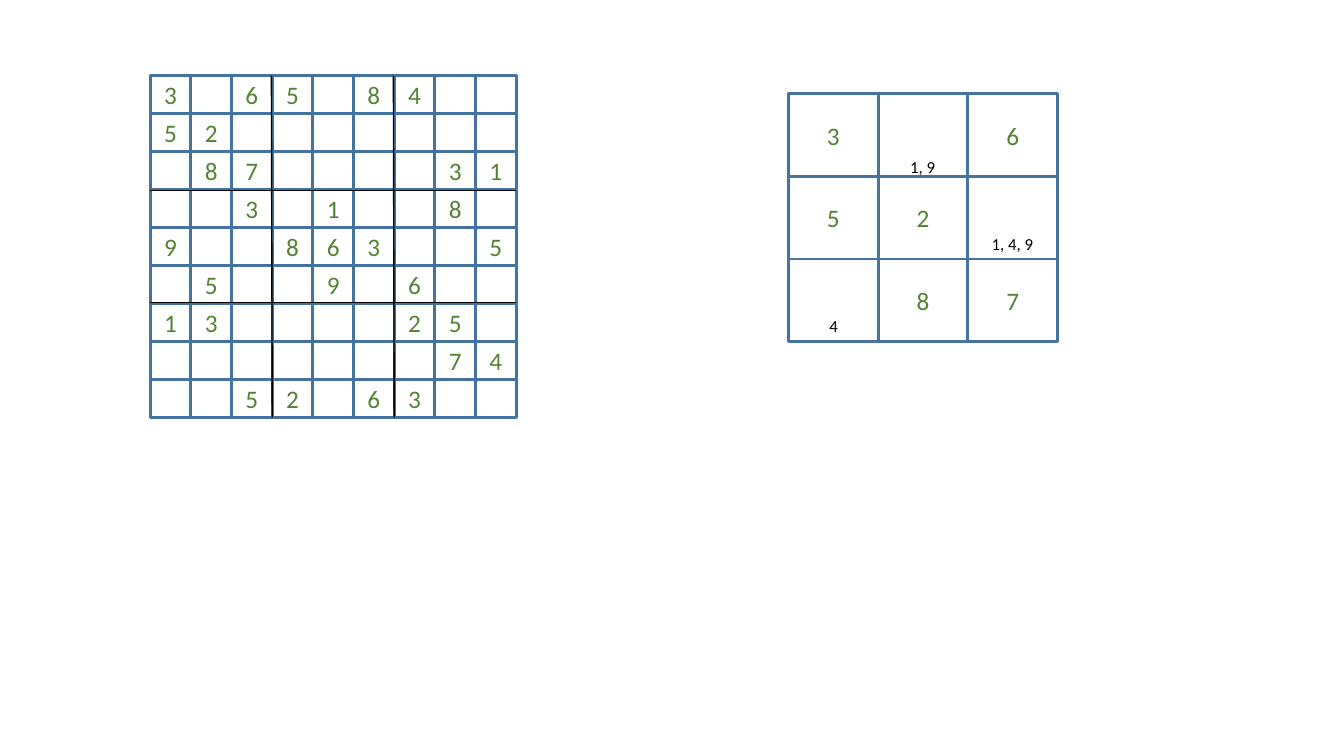
from lxml import etree
from pptx import Presentation
from pptx.dml.color import RGBColor
from pptx.enum.shapes import MSO_CONNECTOR, MSO_SHAPE
from pptx.enum.text import MSO_ANCHOR, MSO_AUTO_SIZE, PP_ALIGN
from pptx.oxml.ns import qn
from pptx.util import Inches, Pt

RECT = MSO_SHAPE.RECTANGLE
STRAIGHT = MSO_CONNECTOR.STRAIGHT
MIDDLE = MSO_ANCHOR.MIDDLE
CENTER = PP_ALIGN.CENTER
LEFT = PP_ALIGN.LEFT
GROW = MSO_AUTO_SIZE.SHAPE_TO_FIT_TEXT

PUZZLE = [
    "3.65.84..",
    "52.......",
    ".87....31",
    "..3.1..8.",
    "9..863..5",
    ".5..9.6..",
    "13....25.",
    ".......74",
    "..52.63..",
]
BLOCK = [row[:3] for row in PUZZLE[:3]]
# Candidates: text, column, top row, width in columns
NOTES = [("1, 9", 1, 0.7, 0.51), ("1, 4, 9", 2, 1.63, 0.69), ("4", 0, 2.62, 0.31)]


def color(code):
    return RGBColor.from_string(code)


def write(frame, text, size=18, ink="548235", align=CENTER, font="Calibri"):
    para = frame.paragraphs[0]
    para.alignment = align
    run = para.add_run()
    run.text = text
    run.font.name = font
    run.font.size = Pt(size)
    run.font.color.rgb = color(ink)


class Board:
    """A square puzzle grid; its methods take columns and rows."""

    paper, edge, ink = "FFFFFF", "43739E", "000000"

    def __init__(self, slide, left, top, width, height, count, group=False):
        self.shapes = slide.shapes.add_group_shape().shapes if group else slide.shapes
        self.left, self.top = left, top
        self.wide, self.high = width / count, height / count

    def spot(self, col, row):
        return Inches(self.left + col * self.wide), Inches(self.top + row * self.high)

    def span(self, cols, rows):
        return Inches(cols * self.wide), Inches(rows * self.high)

    def cell(self, col, row, digit):
        box = self.shapes.add_shape(RECT, *self.spot(col, row), *self.span(1, 1))
        box.shadow.inherit = False
        box.fill.solid()
        box.fill.fore_color.rgb = color(self.paper)
        box.line.color.rgb = color(self.edge)
        box.line.width = Pt(2)
        box.text_frame.vertical_anchor = MIDDLE
        if digit != ".":
            write(box.text_frame, digit)

    def fill(self, rows):
        for row, digits in enumerate(rows):
            for col, digit in enumerate(digits):
                self.cell(col, row, digit)

    def rule(self, start, end):
        line = self.shapes.add_connector(STRAIGHT, *self.spot(*start), *self.spot(*end))
        line.line.color.rgb = color(self.ink)
        line.line.width = Pt(1)
        etree.SubElement(line._element.spPr, qn("a:effectLst"))

    def note(self, text, col, row, cols):
        """Centre a small candidate list in its column."""
        place = self.spot(col + (1 - cols) / 2, row)
        box = self.shapes.add_textbox(*place, *self.span(cols, 0.37))
        box.text_frame.word_wrap = False
        box.text_frame.auto_size = GROW
        write(box.text_frame, text, size=12, ink=self.ink, align=LEFT)


def main():
    deck = Presentation()
    deck.slide_width, deck.slide_height = Inches(13.33), Inches(7.5)
    slide = deck.slides.add_slide(deck.slide_layouts[6])

    puzzle = Board(slide, 1.49, 0.75, 3.63, 3.39, 9)
    puzzle.fill(PUZZLE)
    for col in (3, 6):
        puzzle.rule((col, 9), (col - 0.02, 0))
    for row in (3.03, 5.97):
        puzzle.rule((9, row), (0, row))

    block = Board(slide, 7.82, 0.93, 2.67, 2.46, 3, group=True)
    block.fill(BLOCK)
    for note in NOTES:
        block.note(*note)

    deck.save("out.pptx")


if __name__ == "__main__":
    main()
